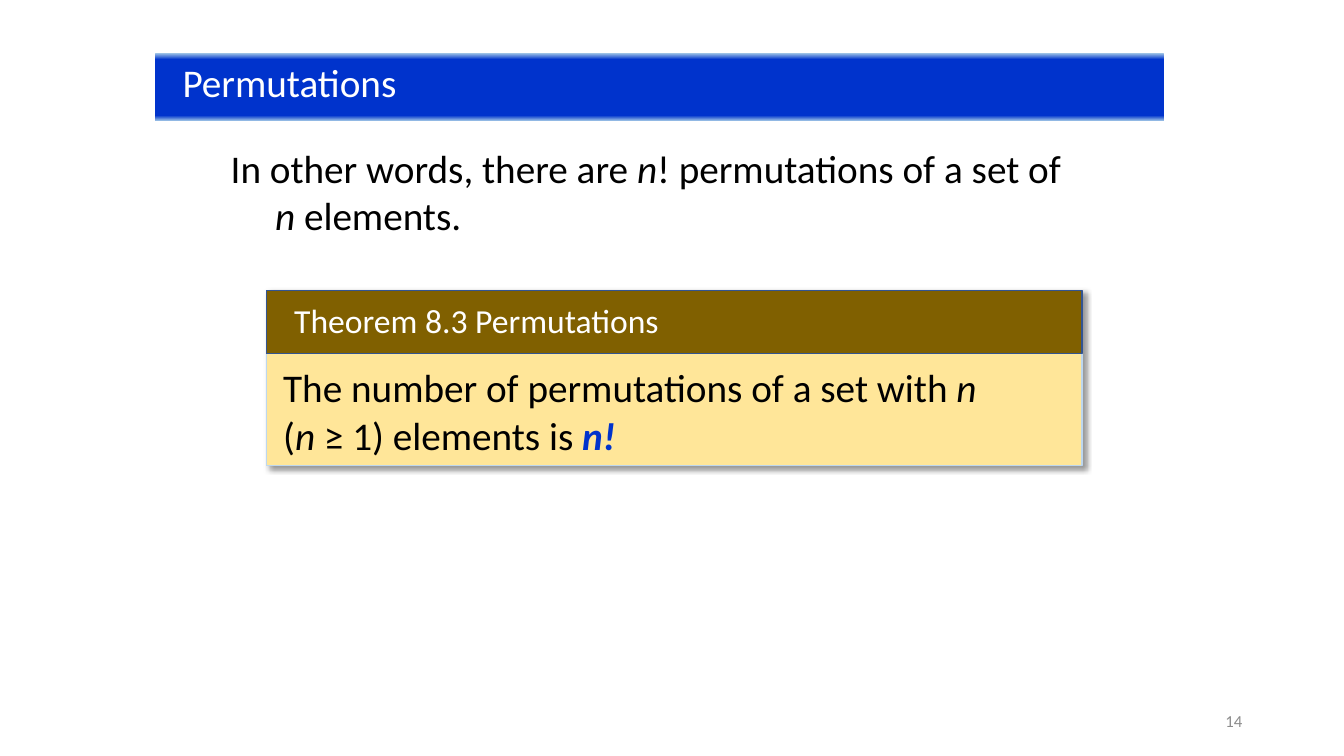
from lxml import etree
from pptx import Presentation, util as u
from pptx.dml.color import RGBColor
from pptx.enum import shapes, text
from pptx.oxml.ns import qn

WIDE, HIGH = 13.33, 7.5
BLUE, SKY, BLACK, WHITE = "0033CC", "9DC3E6", "000000", "FFFFFF"
STOPS = [(0, SKY), (9, BLUE), (92, BLUE), (100, SKY)]

TITLE = [("Permutations", "")]
LEAD = [("In other words, there are ", ""), ("n", "i"),
        ("! permutations of a set of\v", ""), ("n", "i"), (" elements.", "")]
HEAD = [("Theorem 8.3 Permutations", "")]
RULE = [("The number of permutations of a set with ", ""), ("n", "i"),
        (" (", ""), ("n ", "i"), ("≥ 1) elements is ", ""), ("n!", "key")]
PAGE = [("14", "")]

CARD = (2.64, 2.88, 8.09)
PANELS = [(1.74, "FFE699", "BDD7EE"), (0.63, "806000", "325491")]


def paint(color, tone):
    color.rgb = RGBColor.from_string(tone)


def place(shape, box):
    shape.left, shape.top, shape.width, shape.height = map(u.Inches, box)


def write(shape, runs, size, tone, anchor=text.MSO_ANCHOR.TOP, left=0.1):
    frame = shape.text_frame
    frame.word_wrap = True
    frame.auto_size = text.MSO_AUTO_SIZE.NONE
    frame.vertical_anchor = anchor
    frame.margin_left, frame.margin_right = u.Inches(left), u.Inches(0.1)
    frame.margin_top = frame.margin_bottom = u.Inches(0.05)
    para = frame.paragraphs[0]
    para.alignment = text.PP_ALIGN.LEFT
    for words, style in runs:
        lines = words.split("\v")
        for n, line in enumerate(lines):
            if n:
                para.add_line_break()
            if line:
                run = para.add_run()
                run.text = line
                font = run.font
                font.name, font.size = "Calibri", u.Pt(size)
                font.italic = style in ("i", "key")
                font.bold = style == "key"
                paint(font.color, BLUE if style == "key" else tone)
    return para


def label(home, box, *args, **more):
    return write(home.add_textbox(*map(u.Inches, box)), *args, **more)


def node(home, tag, **attrs):
    return etree.SubElement(home, qn("a:" + tag), {k: str(v) for k, v in attrs.items()})


def blend(shape):
    shape.fill.gradient()
    shape.fill.gradient_angle = 270
    stops = shape._element.spPr.find(".//" + qn("a:gsLst"))
    for old in list(stops):
        stops.remove(old)
    for pos, tone in STOPS:
        node(node(stops, "gs", pos=pos * 1000), "srgbClr", val=tone)


def shade(shape):
    effects = shape._element.spPr.find(qn("a:effectLst"))
    drop = node(effects, "outerShdw", blurRad=u.Pt(4), dist=u.Pt(3),
                dir=45 * 60000, algn="tl", rotWithShape=0)
    node(node(drop, "srgbClr", val=BLACK), "alpha", val=40000)


def main():
    deck = Presentation()
    deck.slide_width, deck.slide_height = u.Inches(WIDE), u.Inches(HIGH)
    slide = deck.slides.add_slide(deck.slide_layouts[5])

    title = slide.shapes.title
    place(title, (1.54, 0.53, 10, 0.67))
    blend(title)
    write(title, TITLE, 28, WHITE, left=0.27)

    page = label(slide.shapes, (9.42, 6.95, 3, 0.4), PAGE, 12, "8C8C8C",
                 text.MSO_ANCHOR.MIDDLE)
    page.alignment = text.PP_ALIGN.RIGHT

    lead = label(slide.shapes, (2.19, 1.38, 9, 1.12), LEAD, 28, BLACK)
    lead.space_before = u.Pt(6)
    props = lead._p.get_or_add_pPr()
    props.set("marL", str(u.Inches(0.44)))
    props.set("indent", str(-u.Inches(0.44)))

    card = slide.shapes.add_group_shape().shapes
    for n, (tall, fill, edge) in enumerate(PANELS):
        panel = card.add_shape(shapes.MSO_SHAPE.RECTANGLE, *map(u.Inches, (*CARD, tall)))
        panel.shadow.inherit = False
        panel.fill.solid()
        paint(panel.fill.fore_color, fill)
        paint(panel.line.color, edge)
        panel.line.width = u.Pt(1)
        if n == 0:
            shade(panel)
    label(card, (2.82, 2.93, 7.74, 0.5), HEAD, 24, WHITE)
    rule = label(card, (2.71, 3.56, 7.35, 1.04), RULE, 28, BLACK)
    rule.space_after = u.Pt(6)

    deck.save("out.pptx")


if __name__ == "__main__":
    main()
